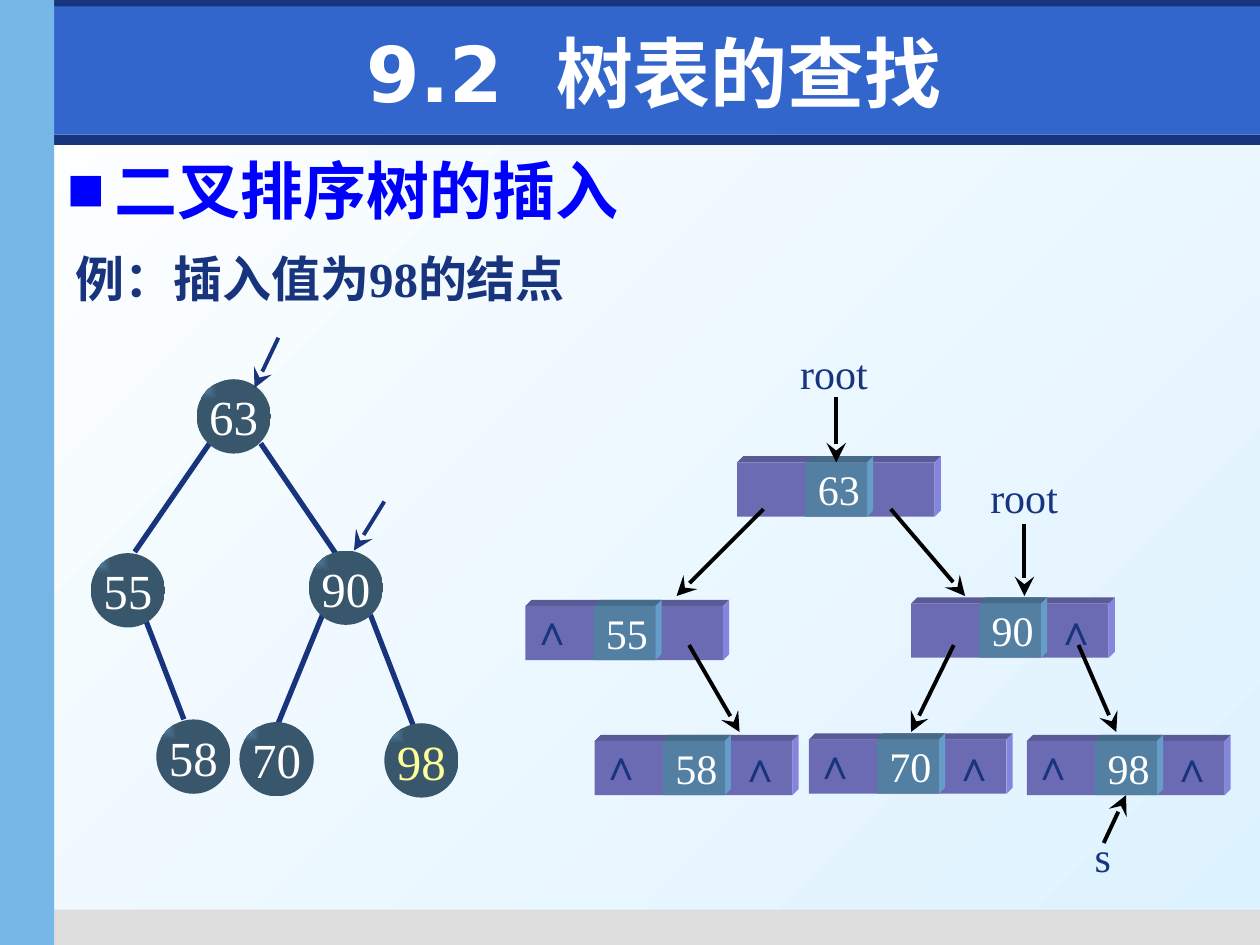
from lxml import etree
from pptx import Presentation
from pptx.dml.color import RGBColor
from pptx.enum import dml, shapes, text
from pptx.oxml import parse_xml
from pptx.oxml.ns import nsdecls, qn
from pptx.util import Pt

NAVY = RGBColor(0x17, 0x34, 0x7D)
ROYAL = RGBColor(0x33, 0x66, 0xCC)
SKY = RGBColor(0x77, 0xB7, 0xE7)
GREY = RGBColor(0xDD, 0xDD, 0xDD)
PALE = RGBColor(0xDD, 0xF2, 0xFF)
WHITE = RGBColor(0xFF, 0xFF, 0xFF)
BLACK = RGBColor(0, 0, 0)
BLUE = RGBColor(0, 0, 0xFF)
YELLOW = RGBColor(0xFF, 0xFF, 0x99)
NODE_LIGHT = RGBColor(0x66, 0xA0, 0xCC)
NODE_DARK = RGBColor(0x38, 0x56, 0x6C)
RECORD_FACES = (RGBColor(0x6B, 0x6B, 0xB3), RGBColor(0x5A, 0x5A, 0x96), RGBColor(0x85, 0x85, 0xDF))
KEY_FACES = (RGBColor(0x53, 0x80, 0xA2), RGBColor(0x45, 0x6B, 0x88), RGBColor(0x65, 0x9D, 0xC8))

SERIF = "Times New Roman"
NODE_SIZE = 42.5
RECORD_W, RECORD_H, DEPTH = 113, 31, 3.5
KEY_X, KEY_W = 39, 35.3

BARS = [
    (3, 77, 717, 5.8, NAVY), (31, 519.8, 689, 20.2, GREY), (0, 0, 720, 15, NAVY),
    (31, 3.6, 689, 73.4, ROYAL), (0, 0, 31, 540, SKY),
]
NODES = [
    ("63", 112.3, 216.7, WHITE), ("55", 51.8, 316.1, WHITE), ("90", 176.4, 314.6, WHITE),
    ("58", 89.3, 411.1, WHITE), ("70", 136.8, 412.6, WHITE), ("98", 219.6, 413.3, YELLOW),
]
TREE_EDGES = [
    (120.2, 252.7, 77, 315.4), (149, 253.4, 193.7, 319), (83.5, 355, 105.1, 411.1),
    (184.3, 351.4, 158.4, 414.7), (211.7, 351.4, 236.2, 414.7),
]
TREE_POINTERS = [(159.1, 193, 145.4, 221.8), (219.6, 286.6, 202.3, 314.6)]
RECORDS = [
    ("63", 421.2, 264.2, False, False), ("55", 300.2, 346.3, True, False),
    ("90", 520.6, 344.9, False, True), ("58", 339.8, 423.4, True, True),
    ("70", 462.2, 422.6, True, True), ("98", 586.8, 423.4, True, True),
]
LINKS = [
    (509, 290.9, 551.5, 340.6), (436.3, 290.9, 386.6, 340.6), (393.8, 368.6, 422.6, 418.3),
    (545, 368.6, 520.6, 418.3), (616.3, 368.6, 637.9, 418.3), (585.4, 299.5, 585.4, 340.6),
]
LABELS = [("root", 455.8, 198.7, 46), ("root", 564.5, 269.3, 46), ("s", 624.2, 474.5, 21.6)]


def add_run(p, value, size, color, font=SERIF, bold=False):
    r = p.add_run()
    r.text = value
    r.font.size = Pt(size)
    r.font.name = font
    r.font.bold = bold
    r.font.color.rgb = color
    return r


def set_frame(tf, insets, anchor, wrap=False):
    tf.margin_left, tf.margin_top, tf.margin_right, tf.margin_bottom = map(Pt, insets)
    tf.vertical_anchor = anchor
    tf.word_wrap = wrap


def paint(sp, color):
    sp.shadow.inherit = False
    sp.fill.solid()
    sp.fill.fore_color.rgb = color
    sp.line.fill.background()


def add_rect(s, x, y, w, h, color):
    sp = s.shapes.add_shape(shapes.MSO_SHAPE.RECTANGLE, Pt(x), Pt(y), Pt(w), Pt(h))
    paint(sp, color)
    return sp


def add_face(s, points, color):
    builder = s.shapes.build_freeform(Pt(points[0][0]), Pt(points[0][1]))
    builder.add_line_segments([(Pt(x), Pt(y)) for x, y in points[1:]])
    paint(builder.convert_to_shape(), color)


def add_block(s, x, y, w, h, faces):
    front, top, side = faces
    right, back = x + w, y - DEPTH
    add_face(s, [(x, y), (x + DEPTH, back), (right + DEPTH, back), (right, y)], top)
    add_face(s, [(right, y), (right + DEPTH, back), (right + DEPTH, back + h), (right, y + h)], side)
    return add_rect(s, x, y, w, h, front)


def add_label(s, value, x, y, w, h, size, insets, anchor=text.MSO_ANCHOR.TOP, bold=False):
    sp = s.shapes.add_textbox(Pt(x), Pt(y), Pt(w), Pt(h))
    set_frame(sp.text_frame, insets, anchor)
    add_run(sp.text_frame.paragraphs[0], value, size, NAVY, bold=bold)


def add_node(s, value, x, y, color):
    sp = s.shapes.add_shape(shapes.MSO_SHAPE.OVAL, Pt(x), Pt(y), Pt(NODE_SIZE), Pt(NODE_SIZE))
    paint(sp, NODE_DARK)
    sp.fill.gradient()
    for stop, stop_color, position in zip(sp.fill.gradient_stops, (NODE_LIGHT, NODE_DARK), (0, 0.55)):
        stop.color.rgb = stop_color
        stop.position = position
    grad = sp._element.spPr.find(qn("a:gradFill"))
    grad.replace(grad.find(qn("a:lin")), parse_xml(
        f'<a:path {nsdecls("a")} path="rect"><a:fillToRect r="100000" b="100000"/></a:path>'))
    set_frame(sp.text_frame, (0, 0, 0, 0), text.MSO_ANCHOR.MIDDLE)
    p = sp.text_frame.paragraphs[0]
    p.alignment = text.PP_ALIGN.CENTER
    add_run(p, value, 28, color)


def add_record(s, value, x, y, left_null, right_null):
    add_block(s, x, y, RECORD_W, RECORD_H, RECORD_FACES)
    key = add_block(s, x + KEY_X, y, KEY_W, RECORD_H, KEY_FACES)
    set_frame(key.text_frame, (7.2, 0, 1.4, 0.7), text.MSO_ANCHOR.MIDDLE)
    p = key.text_frame.paragraphs[0]
    p.alignment = text.PP_ALIGN.LEFT
    add_run(p, value, 24, WHITE)
    for is_null, dx, dy in ((left_null, -1, -2), (right_null, 78.5, -1)):
        if is_null:
            add_label(s, "∧", x + dx, y + dy, 33, 29, 24, (4.3, 0.7, 1.4, 0.7))
    return key


def add_line(s, ends, color, width, arrow=True):
    c = s.shapes.add_connector(shapes.MSO_CONNECTOR.STRAIGHT, *map(Pt, ends))
    c.line.color.rgb = color
    c.line.width = Pt(width)
    if arrow:
        etree.SubElement(c.line._get_or_add_ln(), qn("a:tailEnd"), type="stealth", w="lg", len="lg")
    etree.SubElement(c._element.spPr, qn("a:effectLst"))
    return c


def place(sp, x, y, w, h):
    sp.left, sp.top, sp.width, sp.height = map(Pt, (x, y, w, h))


def fill_title(sp):
    place(sp, 42.5, 9.4, 663, 62.6)
    set_frame(sp.text_frame, (7.2, 3.6, 7.2, 3.6), text.MSO_ANCHOR.MIDDLE, wrap=True)
    p = sp.text_frame.paragraphs[0]
    p.alignment = text.PP_ALIGN.CENTER
    add_run(p, "9.2", 44, WHITE, "DejaVu Sans", True)
    gap = add_run(p, " ", 44, WHITE, "DejaVu Sans", True)
    gap.font._element.set("spc", "1500")
    add_run(p, "树表的查找", 44, WHITE, "DejaVu Sans", True)


def fill_heading(sp):
    place(sp, 31, 82.8, 333.4, 51)
    set_frame(sp.text_frame, (7.2, 3.6, 7.2, 3.6), text.MSO_ANCHOR.TOP)
    p = sp.text_frame.paragraphs[0]
    pPr = p._p.get_or_add_pPr()
    pPr.set("marL", str(Pt(27)))
    pPr.set("indent", str(Pt(-27)))
    color = etree.SubElement(pPr, qn("a:buClr"))
    etree.SubElement(color, qn("a:srgbClr"), val=str(BLUE))
    etree.SubElement(pPr, qn("a:buFont"), typeface="Arial")
    etree.SubElement(pPr, qn("a:buChar"), char="■")
    p.space_before = Pt(0)
    add_run(p, "二叉排序树的插入", 36, BLUE, "Arial", True)


def set_background(s):
    fill = s.background.fill
    fill.gradient()
    fill.gradient_angle = 315
    for stop, color in zip(fill.gradient_stops, (WHITE, PALE)):
        stop.color.rgb = color


def main():
    prs = Presentation()
    prs.slide_width, prs.slide_height = Pt(720), Pt(540)
    s = prs.slides.add_slide(prs.slide_layouts[1])
    set_background(s)
    title, heading = s.placeholders
    for bar in BARS:
        add_rect(s, *bar)
    for sp, fill in ((title, fill_title), (heading, fill_heading)):
        fill(sp)
        s.shapes._spTree.append(sp._element)
    add_label(s, "例：插入值为98的结点", 43.2, 138.2, 314.6, 41, 28, (0, 3.6, 0, 3.6),
              text.MSO_ANCHOR.MIDDLE, True)
    for edge in TREE_EDGES:
        add_line(s, edge, NAVY, 3, arrow=False)
    for node in NODES:
        add_node(s, *node)
    for pointer in TREE_POINTERS:
        add_line(s, pointer, NAVY, 2.25)
    keys = {record[0]: add_record(s, *record) for record in RECORDS}
    for link in LINKS:
        add_line(s, link, BLACK, 2.25)
    add_line(s, (477.85, 226.8, 477.85, 264.2), BLACK, 2.25).end_connect(keys["63"], 0)
    add_line(s, (630.7, 481.7, 643.45, 454.4), BLACK, 2.25).end_connect(keys["98"], 2)
    for value, x, y, w in LABELS:
        add_label(s, value, x, y, w, 34, 24, (1.4, 0, 1.4, 0))
    prs.save("out.pptx")


if __name__ == "__main__":
    main()
